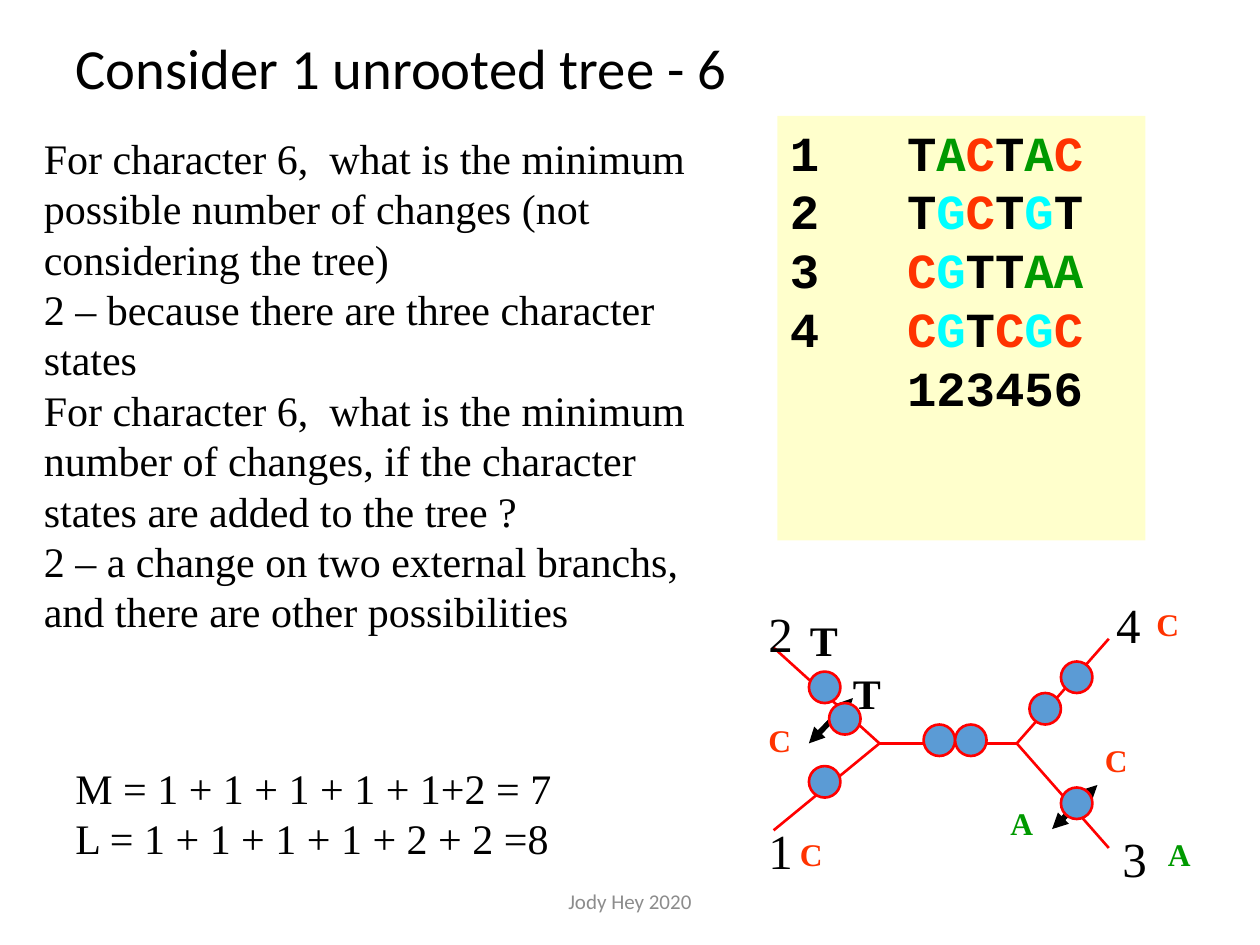
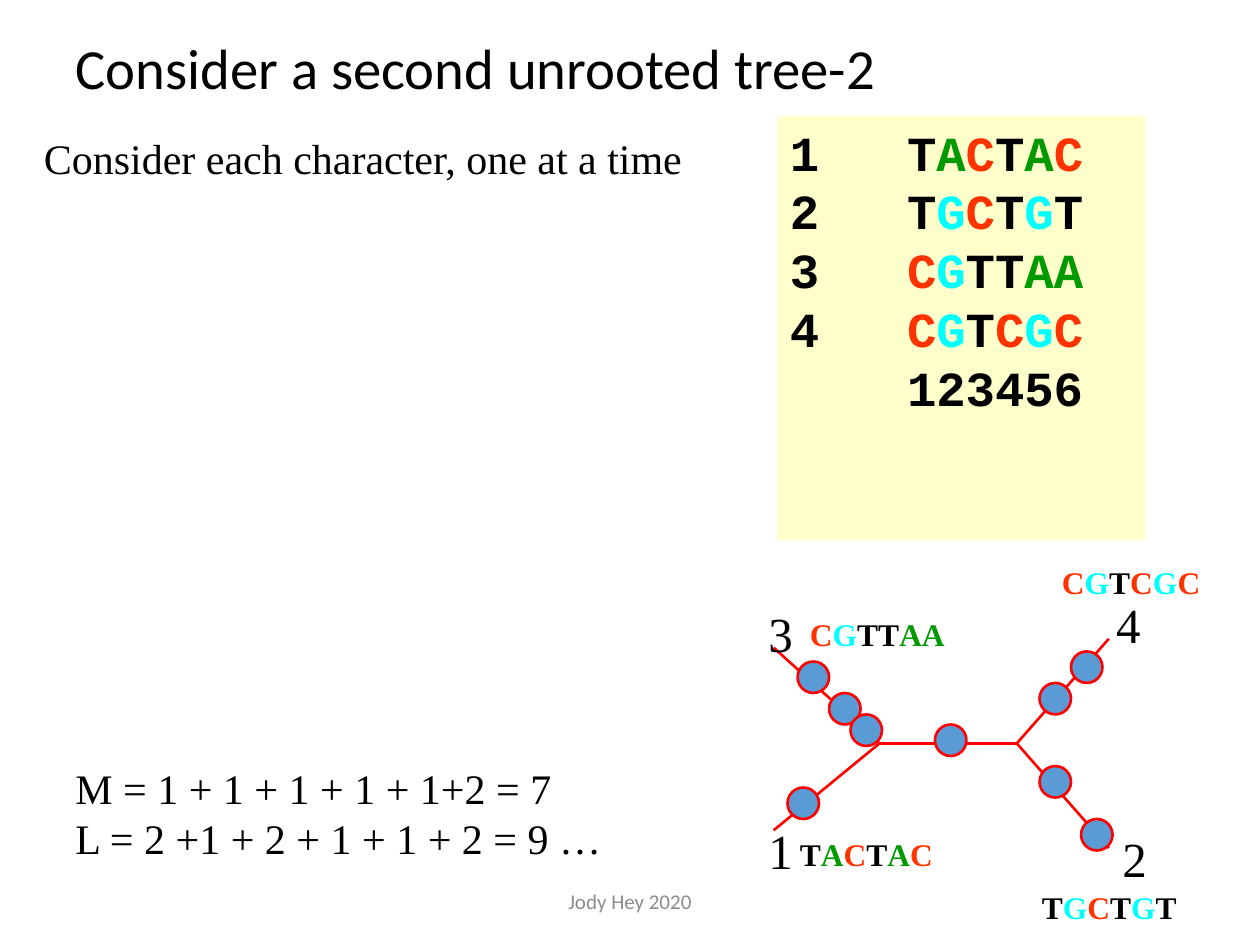
"""Build two slides that count character changes on unrooted trees."""
from itertools import groupby

from lxml.etree import SubElement
from pptx import Presentation
from pptx.dml.color import RGBColor
from pptx.enum.shapes import MSO_CONNECTOR, MSO_SHAPE
from pptx.enum.text import MSO_ANCHOR as Anchor, MSO_AUTO_SIZE as AutoSize, PP_ALIGN as Align
from pptx.oxml.ns import qn
from pptx.util import Inches, Pt

BLACK = RGBColor(0x00, 0x00, 0x00)
GRAY = RGBColor(0x8C, 0x8C, 0x8C)
RED = RGBColor(0xFF, 0x00, 0x00)
BLUE = RGBColor(0x5B, 0x9B, 0xD5)
YELLOW = RGBColor(0xFF, 0xFF, 0x00)
BASE_COLORS = {
    "A": RGBColor(0x00, 0x99, 0x00),
    "C": RGBColor(0xFF, 0x33, 0x00),
    "G": RGBColor(0x00, 0xFF, 0xFF),
}
SERIF, MONO, SANS = "Times New Roman", "Courier New", "Calibri"

SEQUENCES = ["TACTAC", "TGCTGT", "CGTTAA", "CGTCGC"]
LEFT_NODE, RIGHT_NODE = (6.98, 5.9), (8.07, 5.9)
BRANCHES = [
    (LEFT_NODE, (6.14, 6.59)),
    (LEFT_NODE, (6.14, 5.14)),
    (LEFT_NODE, RIGHT_NODE),
    (RIGHT_NODE, (8.8, 6.73)),
    (RIGHT_NODE, (8.8, 5.07)),
]
TAXON_POSITIONS = [(6, 6.46), (6, 4.74), (8.81, 6.53), (8.76, 4.67)]
CHANGE_SIZE = 0.25


class TreeDeck:
    """Hold the shared style and the current slide."""

    def __init__(self):
        self.presentation = Presentation()
        self.presentation.slide_width = Inches(10)
        self.presentation.slide_height = Inches(7.5)
        self.slide = None

    def apply(self, target, values):
        for name, value in values.items():
            setattr(target, name, value)

    def style_font(self, font, name, size, color, bold=False):
        self.apply(font, {"name": name, "size": Pt(size), "bold": bold})
        font.color.rgb = color

    def add_title(self, text):
        layout = self.presentation.slide_layouts[5]
        self.slide = self.presentation.slides.add_slide(layout)
        title = self.slide.shapes.title
        self.apply(title, {"left": Inches(0.5), "top": Inches(0.3),
                           "width": Inches(9), "height": Inches(0.53)})
        self.apply(title.text_frame, {"text": text, "word_wrap": True,
                                      "auto_size": AutoSize.NONE,
                                      "vertical_anchor": Anchor.MIDDLE})
        paragraph = title.text_frame.paragraphs[0]
        self.apply(paragraph, {"alignment": Align.LEFT, "line_spacing": 0.9})
        self.style_font(paragraph.font, SANS, 32.4, BLACK)

    def add_text(self, lines, left, top, width, height, size=24, font=SERIF,
                 color=BLACK, align=Align.LEFT, anchor=Anchor.TOP):
        box = self.slide.shapes.add_textbox(Inches(left), Inches(top), Inches(width), Inches(height))
        self.apply(box.text_frame, {"text": "\n".join(lines), "word_wrap": True,
                                    "vertical_anchor": anchor})
        for paragraph in box.text_frame.paragraphs:
            paragraph.alignment = align
            self.style_font(paragraph.font, font, size, color)

    def add_bases(self, paragraph, text, font, size):
        for color, letters in groupby(text, lambda letter: BASE_COLORS.get(letter, BLACK)):
            run = paragraph.add_run()
            run.text = "".join(letters)
            self.style_font(run.font, font, size, color, bold=True)

    def add_label(self, text, left, top, width=0.5, size=18):
        box = self.slide.shapes.add_textbox(Inches(left), Inches(top), Inches(width), Inches(0.5))
        box.text_frame.word_wrap = True
        self.add_bases(box.text_frame.paragraphs[0], text, SERIF, size)

    def add_matrix(self):
        matrix = self.slide.shapes.add_shape(
            MSO_SHAPE.RECTANGLE, Inches(6.17), Inches(0.92), Inches(2.92), Inches(3.37))
        matrix.shadow.inherit = False
        matrix.fill.solid()
        matrix.fill.fore_color.rgb = YELLOW
        fill_color = matrix.fill._xPr.find(qn("a:solidFill"))[0]
        SubElement(fill_color, qn("a:alpha"), val="20000")
        matrix.line.fill.background()
        rows = [f"{number}\t{sequence}" for number, sequence in enumerate(SEQUENCES, 1)]
        rows.append("\t123456")
        frame = matrix.text_frame
        self.apply(frame, {"text": "\n" * (len(rows) - 1), "word_wrap": True,
                           "vertical_anchor": Anchor.TOP})
        for paragraph, row in zip(frame.paragraphs, rows):
            paragraph.alignment = Align.LEFT
            tabs = SubElement(paragraph._p.get_or_add_pPr(), qn("a:tabLst"))
            SubElement(tabs, qn("a:tab"), pos=str(Inches(0.93)), algn="l")
            self.add_bases(paragraph, row, MONO, 28)

    def add_line(self, start, end, color=RED, width=1.5, arrow=False):
        points = [Inches(value) for value in (*start, *end)]
        connector = self.slide.shapes.add_connector(MSO_CONNECTOR.STRAIGHT, *points)
        connector.line.color.rgb = color
        connector.line.width = Pt(width)
        if arrow:
            SubElement(connector.line._get_or_add_ln(), qn("a:tailEnd"), type="triangle")
        SubElement(connector._element.spPr, qn("a:effectLst"))

    def add_double_arrow(self, low, high):
        inset = 0.06
        self.add_line((low[0] + inset, low[1] - inset), high, BLACK, 3, arrow=True)
        self.add_line((high[0] - inset, high[1] + inset), low, BLACK, 3, arrow=True)

    def add_changes(self, positions):
        for left, top in positions:
            change = self.slide.shapes.add_shape(
                MSO_SHAPE.OVAL, Inches(left), Inches(top), Inches(CHANGE_SIZE), Inches(CHANGE_SIZE))
            change.shadow.inherit = False
            change.fill.solid()
            change.fill.fore_color.rgb = BLUE
            change.line.color.rgb = RED
            change.line.width = Pt(1.5)

    def add_tree_slide(self, title, taxa, notes, scores, labels, arrows, changes):
        self.add_title(title)
        for start, end in BRANCHES:
            self.add_line(start, end)
        for taxon, (left, top) in zip(taxa, TAXON_POSITIONS):
            self.add_text([taxon], left, top, 0.35, 0.57, size=28)
        self.add_matrix()
        self.add_text(notes, 0.25, 1, 5.67, 1.1 if len(notes) == 1 else 4.69)
        self.add_text(scores, 0.5, 6, 4.5, 1.1)
        for label in labels:
            self.add_label(*label)
        for low, high in arrows:
            self.add_double_arrow(low, high)
        self.add_changes(changes)
        self.add_text(["Jody Hey 2020"], 3.31, 6.95, 3.38, 0.4, size=12, font=SANS,
                      color=GRAY, align=Align.CENTER, anchor=Anchor.MIDDLE)


def main():
    deck = TreeDeck()
    deck.add_tree_slide(
        title="Consider 1 unrooted tree - 6",
        taxa="1234",
        notes=[
            "For character 6,  what is the minimum possible number of changes (not considering the tree)",
            "2 – because there are three character states",
            "For character 6,  what is the minimum number of changes, "
            "if the character states are added to the tree ?",
            "2 – a change on two external branchs, and there are other possibilities",
        ],
        scores=["M = 1 + 1 + 1 + 1 + 1+2 = 7", "L = 1 + 1 + 1 + 1 + 2 + 2 =8"],
        labels=[
            ("T", 6.33, 4.83, 0.5, 24), ("C", 9.08, 4.75), ("C", 6.25, 6.58), ("A", 9.17, 6.58),
            ("A", 7.92, 6.33), ("C", 8.67, 5.83), ("T", 6.67, 5.25, 0.5, 24), ("C", 6, 5.67),
        ],
        arrows=[((8.35, 6.58), (8.71, 6.23)), ((6.42, 5.9), (6.77, 5.54))],
        changes=[(6.42, 6.08), (7.33, 5.75), (7.58, 5.75), (8.17, 5.5),
                 (8.42, 5.25), (6.42, 5.33), (6.58, 5.58), (8.42, 6.25)],
    )
    deck.add_tree_slide(
        title="Consider a second unrooted tree-2",
        taxa="1324",
        notes=["Consider each character, one at a time"],
        scores=["M = 1 + 1 + 1 + 1 + 1+2 = 7", "L = 2 +1 + 2 + 1 + 1 + 2 = 9 …"],
        labels=[
            (SEQUENCES[2], 6.33, 4.83, 1.75), (SEQUENCES[1], 8.17, 7, 1.67),
            (SEQUENCES[0], 6.25, 6.58, 1.67), (SEQUENCES[3], 8.33, 4.42, 1.67),
        ],
        arrows=[],
        changes=[(6.25, 6.25), (8.25, 6.08), (6.33, 5.25), (6.58, 5.5), (8.5, 5.17),
                 (8.25, 5.42), (7.42, 5.75), (8.58, 6.5), (6.75, 5.67)],
    )
    deck.presentation.save("out.pptx")


if __name__ == "__main__":
    main()
